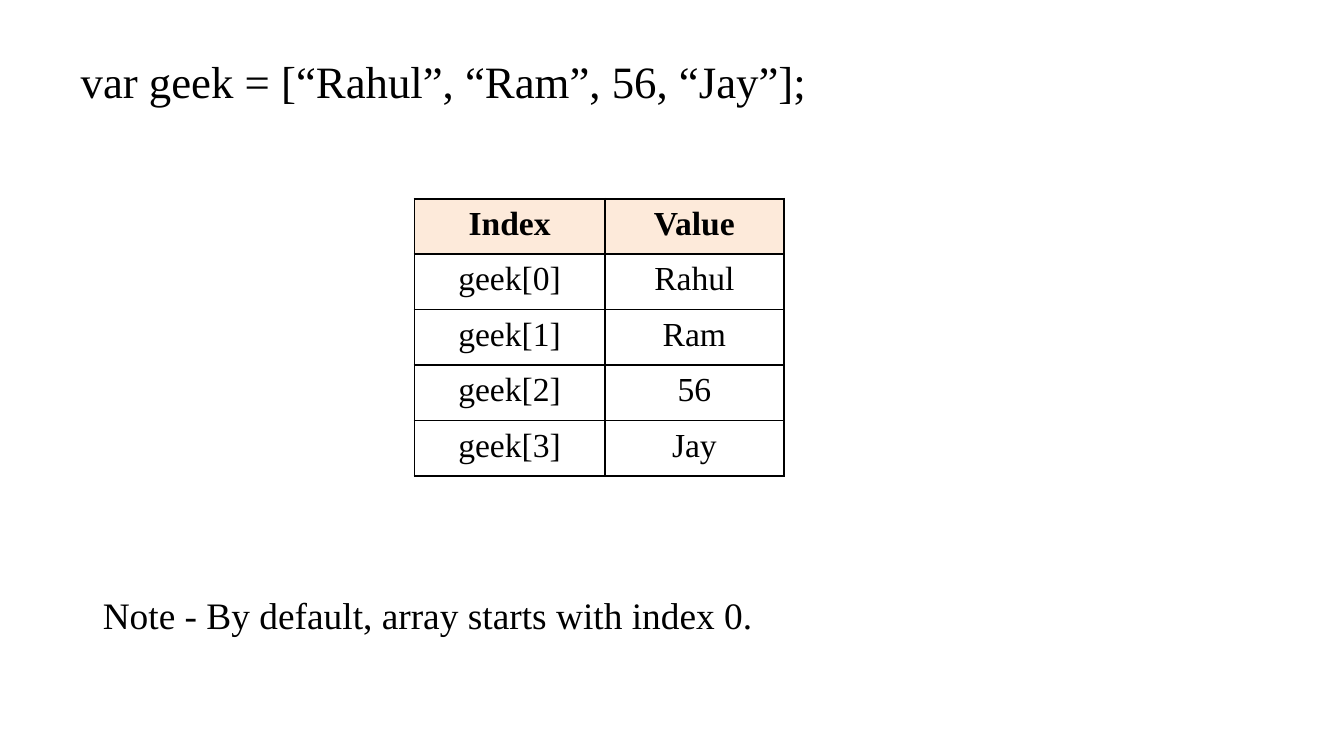
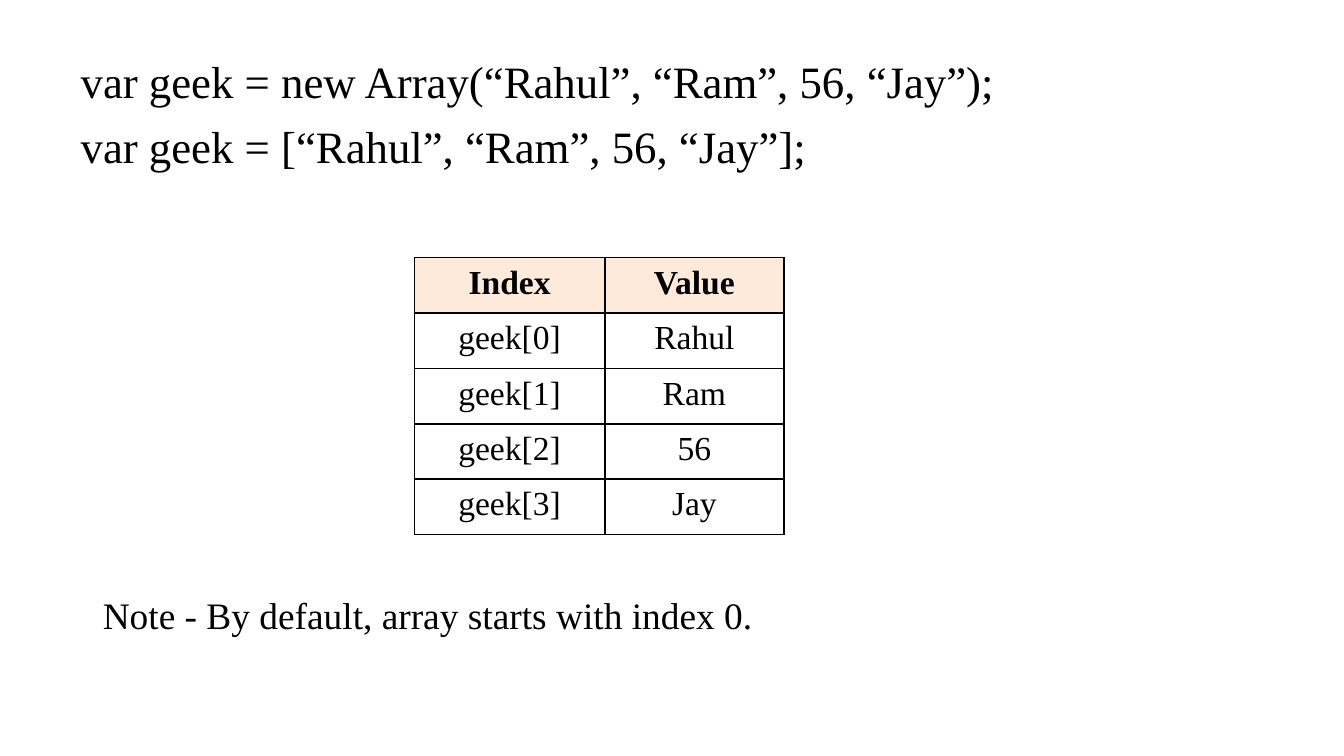
from lxml.etree import SubElement as Sub
from pptx import Presentation
from pptx.dml.color import RGBColor as RGB
from pptx.enum.text import MSO_ANCHOR as Anchor, MSO_AUTO_SIZE as Fit, PP_ALIGN as Align
from pptx.oxml.ns import qn
from pptx.util import Inches, Pt

BLACK = RGB(0x00, 0x00, 0x00)
WHITE = RGB(0xFF, 0xFF, 0xFF)
PEACH = RGB(0xFD, 0xEA, 0xDA)

WIDE, HIGH = Inches(10), Inches(5.625)
COL, ROW = WIDE // 120, HIGH // 270

BASE = {"name": "Times New Roman", "bold": False}
CODE = BASE | {"size": Pt(24)}
NOTE = BASE | {"size": Pt(20)}
CELL = BASE | {"size": Pt(18)}
HEAD = CELL | {"bold": True}
FRAME = {"word_wrap": True, "auto_size": Fit.NONE, "vertical_anchor": Anchor.TOP,
         "margin_top": Inches(0.09)}

# Boxes are left, top, width and height in columns and rows of the grid.
CODE_BOX = (6, 15, 106, 48)
NOTE_BOX = (8, 207, 77, 24)
SPLIT = (17, 16)
TABLE_SIZE = (sum(SPLIT), 99)

ITEMS = ["Rahul", "Ram", "56", "Jay"]
CELLS = [("Index", "Value")] + [(f"geek[{n}]", item) for n, item in enumerate(ITEMS)]
NEW = "var geek = new Array(“Rahul”, “Ram”, 56, “Jay”);"
SHORT = "var geek = [“Rahul”, “Ram”, 56, “Jay”];"
HINT = "Note - By default, array starts with index 0."
SLIDES = [([SHORT], 71), ([NEW, SHORT], 92)]


def place(box):
    left, top, width, height = box
    return left * COL, top * ROW, width * COL, height * ROW


def assign(item, values):
    for key, value in values.items():
        setattr(item, key, value)


def style(para, font, align):
    para.alignment = align
    assign(para.font, font)
    para.font.color.rgb = BLACK


def write(shape, lines, font):
    frame = shape.text_frame
    assign(frame, FRAME)
    frame.text = "\n".join(lines)
    for n, para in enumerate(frame.paragraphs):
        para.space_before = Pt(6 if n else 0)
        style(para, font, Align.LEFT)


def add_code(slide, box, lines):
    title = slide.shapes.title
    assign(title, dict(zip(("left", "top", "width", "height"), place(box))))
    write(title, lines, CODE)


def add_note(slide, box, line):
    write(slide.shapes.add_textbox(*place(box)), [line], NOTE)


def outline(cell):
    props = cell._tc.get_or_add_tcPr()
    for side in ("lnL", "lnR", "lnT", "lnB"):
        edge = Sub(props, qn(f"a:{side}"), w=str(Pt(1)))
        Sub(Sub(edge, qn("a:solidFill")), qn("a:srgbClr"), val=str(BLACK))


def add_grid(slide, box, cells):
    """Draw a bordered table whose first row is a tinted header."""
    table = slide.shapes.add_table(len(cells), len(SPLIT), *place(box)).table
    table.horz_banding = False
    for column, share in zip(table.columns, SPLIT):
        column.width = share * COL
    for r, texts in enumerate(cells):
        for c, text in enumerate(texts):
            cell = table.cell(r, c)
            cell.text = text
            style(cell.text_frame.paragraphs[0], CELL if r else HEAD, Align.CENTER)
            outline(cell)
            if r:
                cell.fill.background()
            else:
                cell.fill.solid()
                cell.fill.fore_color.rgb = PEACH


def add_slide(deck, lines, top):
    slide = deck.slides.add_slide(deck.slide_layouts[5])
    add_code(slide, CODE_BOX, lines)
    add_grid(slide, (37, top, *TABLE_SIZE), CELLS)
    add_note(slide, NOTE_BOX, HINT)


def main():
    deck = Presentation()
    assign(deck, {"slide_width": WIDE, "slide_height": HIGH})
    back = deck.slide_master.background.fill
    back.solid()
    back.fore_color.rgb = WHITE
    for lines, top in SLIDES:
        add_slide(deck, lines, top)
    deck.save("out.pptx")


if __name__ == "__main__":
    main()
